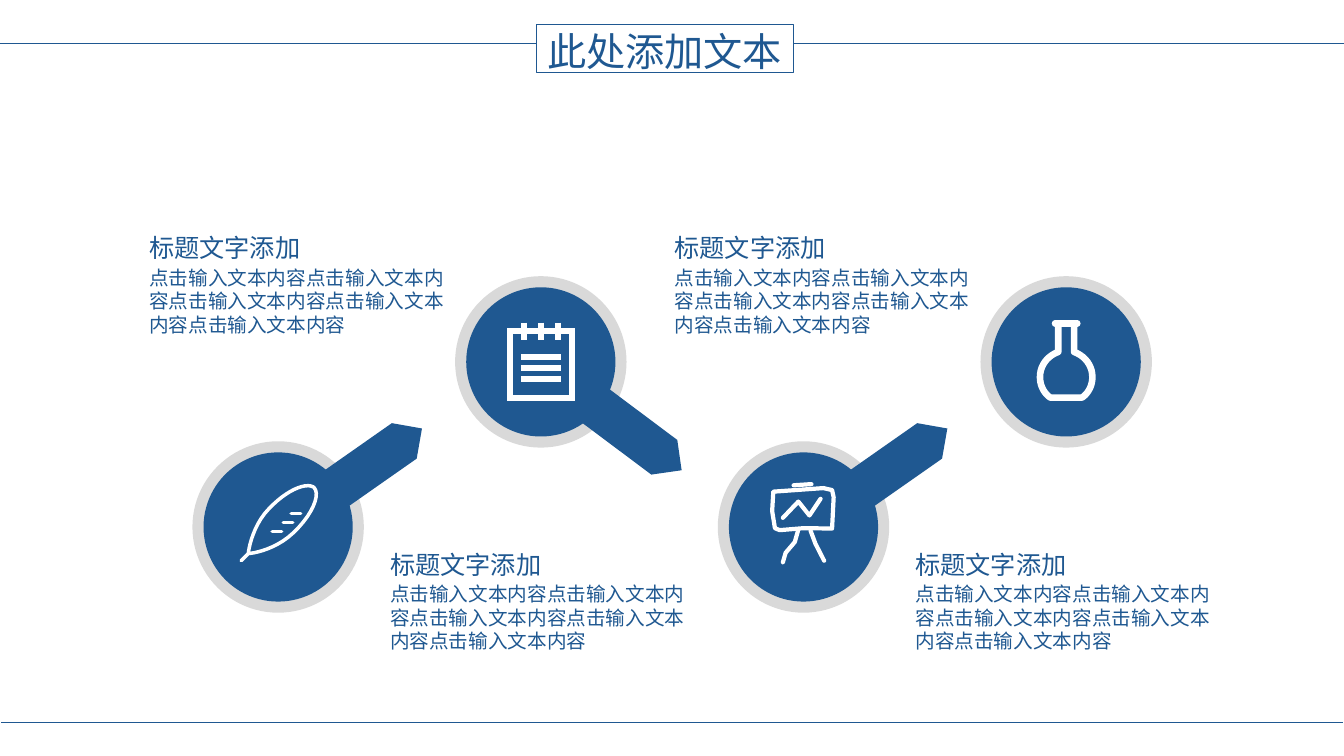
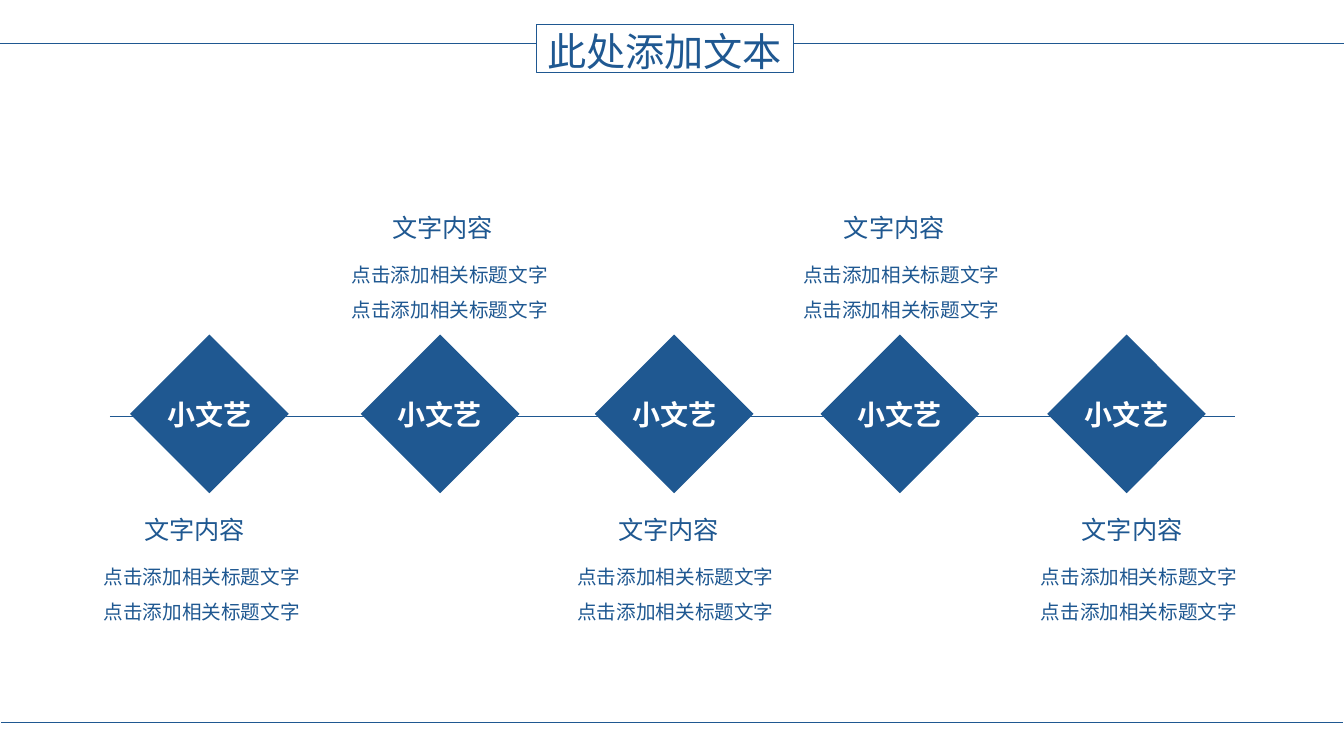
from lxml import etree
from pptx import Presentation, util as u
from pptx.dml.color import RGBColor
from pptx.enum import shapes, text
from pptx.oxml import ns

BLUE = RGBColor(0x1F, 0x58, 0x91)
GRAY = RGBColor(0xD9, 0xD9, 0xD9)
WHITE = RGBColor(0xFF, 0xFF, 0xFF)
FONT = "Noto Sans CJK SC"
SLIDE_WIDTH, SLIDE_HEIGHT = 33.87, 19.05

CENTER = text.PP_ALIGN.CENTER
TITLE = {"font": {"size": u.Pt(28)}, "paragraph": {"alignment": CENTER, "line_spacing": 1.1}}
HEADING = {"font": {"size": u.Pt(18)},
           "paragraph": {"alignment": text.PP_ALIGN.JUSTIFY, "line_spacing": 1.2}}
CAPTION_HEADING = {"font": {"size": u.Pt(18)}, "paragraph": {}}
BODY = {"font": {"size": u.Pt(14)}, "paragraph": {}}
CAPTION_BODY = {"font": {"size": u.Pt(14)}, "paragraph": {"line_spacing": 1.5}}
LABEL = {"font": {"size": u.Pt(20), "bold": True}, "paragraph": {"alignment": CENTER}}

RING, DISC = 4.32, 3.76
HEADING_STEP = 0.98

QUILL = {"width": 2.5, "cap": "rnd", "contours": [
    [(-0.93, 0.85), (-0.75, 0.67),
     (-0.74, 0.51, -0.61, -0.08, -0.23, -0.46), (0.13, -0.84, 0.51, -1.04, 0.75, -1.04),
     (0.81, -1.04, 0.88, -1.02, 0.91, -0.99), (1.07, -0.81, 0.86, -0.3, 0.38, 0.15),
     (-0.04, 0.55, -0.58, 0.66, -0.75, 0.67)],
    *[[(x, y), (x + 0.24, y)] for x, y in ((-0.15, 0.11), (0.13, -0.11), (0.33, -0.34))]]}
NOTEPAD = {"width": 4.2, "cap": "flat", "contours": [
    [(0, -0.77), (0.78, -0.77), (0.78, 0.92), (-0.78, 0.92), (-0.78, -0.77), (0, -0.77)],
    *[[(-0.5, y), (0.5, y)] for y in (-0.13, 0.15, 0.43)],
    *[[(x, -0.99), (x, -0.56)] for x in (-0.43, 0, 0.43)]]}
EASEL = {"width": 3, "cap": "rnd", "contours": [
    [(-0.76, -0.89), (0.5, -0.98), (0.72, -0.93), (0.76, -0.75), (0.72, 0.04), (0, 0.03),
     (-0.6, 0.08), (-0.72, 0.03), (-0.79, -0.4), (-0.76, -0.89)],
    [(-0.25, -1.05), (0.2, -1.08)],
    [(-0.52, -0.23), (-0.13, -0.64), (0.15, -0.29), (0.43, -0.71)],
    [(-0.14, 0.1), (-0.22, 0.38), (-0.45, 0.65), (-0.52, 0.89)],
    [(0.18, 0.1), (0.3, 0.42), (0.52, 0.85)]]}
FLASK = {"width": 4.7, "cap": "rnd", "contours": [
    [(-0.28, -0.97), (0.28, -0.97)],
    [(-0.2, -0.97), (-0.2, -0.25), (-0.48, -0.15, -0.66, 0.1, -0.66, 0.38),
     (-0.66, 0.6, -0.56, 0.79, -0.4, 0.9), (0.4, 0.9),
     (0.56, 0.79, 0.66, 0.6, 0.66, 0.38), (0.66, 0.1, 0.48, -0.15, 0.2, -0.25),
     (0.2, -0.97)]]}


def write(frame, lines, style, color=BLUE):
    """Fill a text frame with one paragraph per line in the given style."""
    for index, line in enumerate(lines):
        paragraph = frame.paragraphs[0] if index == 0 else frame.add_paragraph()
        for name, value in style["paragraph"].items():
            setattr(paragraph, name, value)
        run = paragraph.add_run()
        run.text = line
        for name, value in {"name": FONT, **style["font"]}.items():
            setattr(run.font, name, value)
        run.font.color.rgb = color
        etree.SubElement(run.font._element, ns.qn("a:ea"), typeface=FONT)


def add_text(slide, left, top, width, height, lines, style):
    """Place a wrapping text box."""
    box = slide.shapes.add_textbox(*map(u.Cm, (left, top, width, height)))
    box.text_frame.word_wrap = True
    write(box.text_frame, lines, style)


def add_filled(slide, kind, center_x, center_y, width, height, color):
    """Place a plain filled shape around its centre."""
    shape = slide.shapes.add_shape(
        kind, u.Cm(center_x - width / 2), u.Cm(center_y - height / 2), u.Cm(width), u.Cm(height))
    shape.shadow.inherit = False
    shape.fill.solid()
    shape.fill.fore_color.rgb = color
    shape.line.fill.background()
    return shape


def add_rule(slide, left, right, y):
    """Draw a thin horizontal line."""
    line = slide.shapes.add_connector(
        shapes.MSO_CONNECTOR.STRAIGHT, u.Cm(left), u.Cm(y), u.Cm(right), u.Cm(y))
    line.line.color.rgb = BLUE
    line.line.width = u.Pt(0.5)
    etree.SubElement(line._element.spPr, ns.qn("a:effectLst"))


def flatten(contour, steps=10):
    """Turn a contour of points and cubic curves into plain points."""
    points = [contour[0]]
    for part in contour[1:]:
        if len(part) == 2:
            points.append(part)
            continue
        anchors = [points[-1], part[:2], part[2:4], part[4:]]
        for step in range(1, steps + 1):
            t = step / steps
            weights = ((1 - t) ** 3, 3 * t * (1 - t) ** 2, 3 * t * t * (1 - t), t ** 3)
            points.append(tuple(sum(w * a[axis] for w, a in zip(weights, anchors))
                                for axis in (0, 1)))
    return points


def add_icon(slide, center_x, center_y, icon):
    """Draw a white line icon around a centre."""
    contours = [[(u.Cm(center_x + x), u.Cm(center_y + y)) for x, y in flatten(contour)]
                for contour in icon["contours"]]
    builder = slide.shapes.build_freeform(*contours[0][0])
    for index, points in enumerate(contours):
        if index:
            builder.move_to(*points[0])
        builder.add_line_segments(points[1:], close=False)
    shape = builder.convert_to_shape()
    shape.shadow.inherit = False
    shape.fill.background()
    shape.line.color.rgb = WHITE
    shape.line.width = u.Pt(icon["width"])
    outline = shape.line._get_or_add_ln()
    outline.set("cap", icon["cap"])
    if icon["cap"] == "flat":
        etree.SubElement(outline, ns.qn("a:miter"), lim="800000")


def add_frame(slide):
    """Add the boxed title and the rules shared by all slides."""
    left, top, width, height = 13.51, 0.61, 6.48, 1.22
    box = add_filled(slide, shapes.MSO_SHAPE.RECTANGLE, left + width / 2, top + height / 2,
                     width, height, WHITE)
    box.fill.background()
    box.line.color.rgb = BLUE
    box.line.width = u.Pt(0.75)
    frame = box.text_frame
    for side in ("left", "top", "right", "bottom"):
        setattr(frame, f"margin_{side}", 0)
    write(frame, ["此处添加文本"], TITLE)
    for start, end, y in ((0, left, 1.1), (left + width, SLIDE_WIDTH, 1.1),
                          (0.03, SLIDE_WIDTH - 0.03, 18.21)):
        add_rule(slide, start, end, y)


def add_stage(slide, center_x, center_y, icon, upper, has_arrow):
    """Add a ringed icon with its text and the arrow to the next stage."""
    for size, color in ((RING, GRAY), (DISC, BLUE)):
        add_filled(slide, shapes.MSO_SHAPE.OVAL, center_x, center_y, size, size, color)
    if has_arrow:
        dx, dy, angle = (2.4, 1.87, 36.8) if upper else (2.45, -1.66, 325)
        arrow = add_filled(slide, shapes.MSO_SHAPE.PENTAGON,
                           center_x + dx, center_y + dy, 2.87, 1.09, BLUE)
        arrow.rotation = angle
    add_icon(slide, center_x, center_y, icon)
    dx, dy = (-10.12, -3.53) if upper else (2.57, 0.28)
    left, top = center_x + dx, center_y + dy
    add_text(slide, left, top, 6.22, 1.09, ["标题文字添加"], HEADING)
    add_text(slide, left, top + HEADING_STEP, 8.08, 2.06, ["点击输入文本内容" * 5], BODY)


def add_milestone(slide, left, top, size, caption_left, caption_top):
    """Add a labelled diamond with its caption."""
    diamond = add_filled(slide, shapes.MSO_SHAPE.DIAMOND,
                         left + size / 2, top + size / 2, size, size, BLUE)
    diamond.text_frame.word_wrap = False
    write(diamond.text_frame, ["小文艺"], LABEL, WHITE)
    add_text(slide, caption_left + 1.03, caption_top, 3.38, 1.04, ["文字内容"], CAPTION_HEADING)
    add_text(slide, caption_left, caption_top + HEADING_STEP, 6.1, 1.96,
             ["点击添加相关标题文字"] * 2, CAPTION_BODY)


def build_stages(slide):
    """Build the zigzag of four stages."""
    icons = (QUILL, NOTEPAD, EASEL, FLASK)
    for index, icon in enumerate(icons):
        upper = index % 2 == 1
        add_stage(slide, 7.01 + 6.62 * index, 9.12 if upper else 13.28, icon,
                  upper, index < len(icons) - 1)
    add_frame(slide)


def build_timeline(slide):
    """Build the timeline of five milestones."""
    add_rule(slide, 2.77, 31.12, 10.49)
    columns = ((3.28, 2.36), (9.09, 8.61), (14.99, 14.3), (20.68, 19.99), (26.39, 25.98))
    for index, (left, caption_left) in enumerate(columns):
        add_milestone(slide, left, 8.43, 4, caption_left, 5.23 if index % 2 else 12.83)
    add_frame(slide)


def main():
    """Build and save the presentation."""
    presentation = Presentation()
    presentation.slide_width = u.Cm(SLIDE_WIDTH)
    presentation.slide_height = u.Cm(SLIDE_HEIGHT)
    for build in (build_stages, build_timeline):
        build(presentation.slides.add_slide(presentation.slide_layouts[6]))
    presentation.save("out.pptx")


if __name__ == "__main__":
    main()
